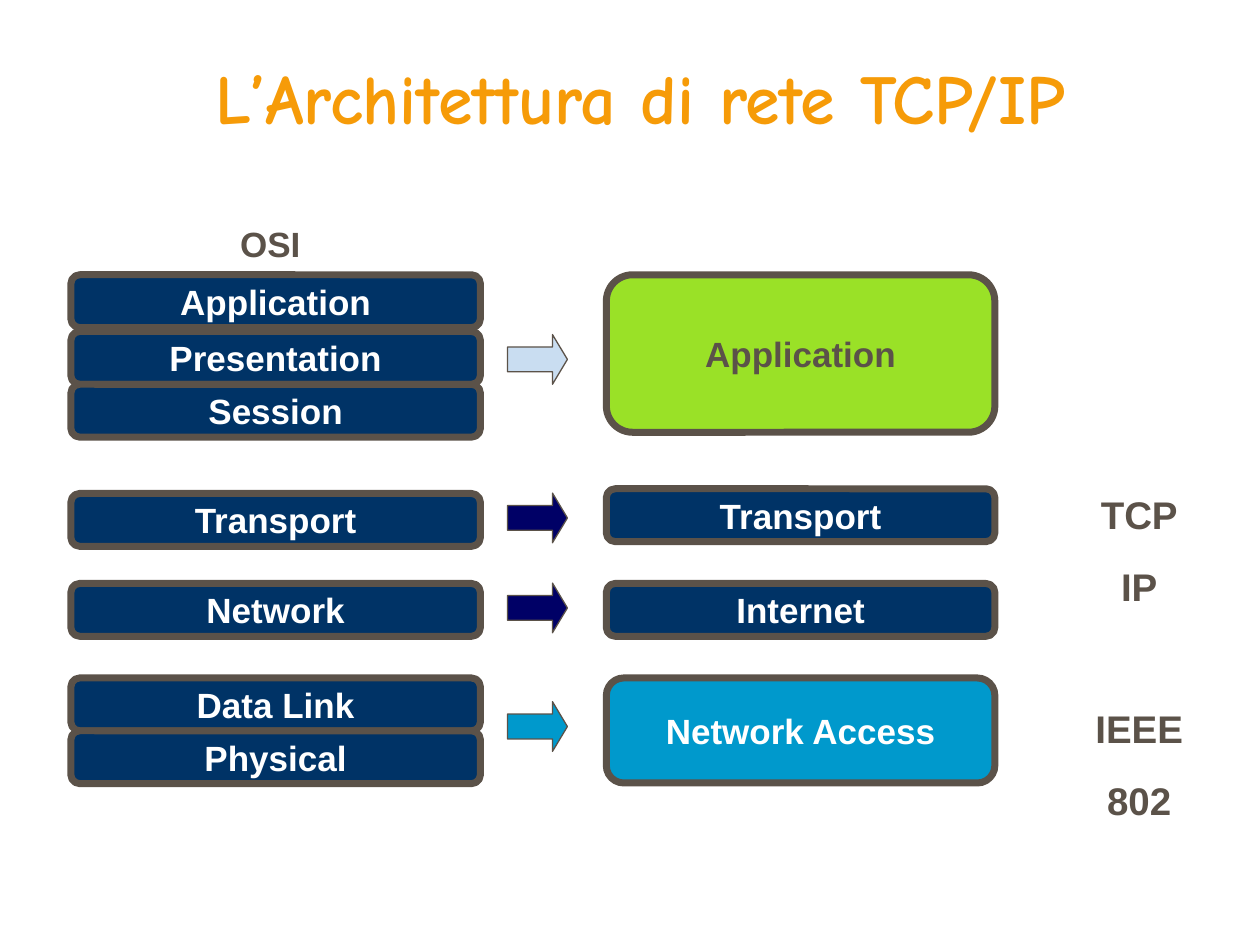
from pptx import Presentation
from pptx.dml.color import RGBColor
from pptx.enum.shapes import MSO_SHAPE
from pptx.enum.text import MSO_ANCHOR, MSO_AUTO_SIZE, PP_ALIGN
from pptx.util import Pt

ROUNDED = MSO_SHAPE.ROUNDED_RECTANGLE
ARROW = MSO_SHAPE.RIGHT_ARROW
MIDDLE = MSO_ANCHOR.MIDDLE
TOP = MSO_ANCHOR.TOP
BOTTOM = MSO_ANCHOR.BOTTOM
NO_FIT = MSO_AUTO_SIZE.NONE
CENTER = PP_ALIGN.CENTER

ORANGE, BROWN, WHITE = "F69B08", "5B5249", "FFFFFF"
NAVY, GREEN, CYAN = "003366", "9AE127", "0099CC"
PALE_BLUE, DARK_BLUE = "C9DDF1", "000066"

OSI_LEFT, OSI_WIDTH = 40.5, 234
TCP_LEFT, TCP_WIDTH = 346.5, 222
LAYER_HEIGHT = 30.2

OSI_LAYERS = [
    ("Application", 157), ("Presentation", 189.4), ("Session", 219.6),
    ("Transport", 282), ("Network", 333.4),
    ("Data Link", 387.4), ("Physical", 417.6),
]
TCP_LAYERS = [
    ("Application", 157, 90, GREEN, BROWN),
    ("Transport", 279.3, LAYER_HEIGHT, NAVY, WHITE),
    ("Internet", 333.4, LAYER_HEIGHT, NAVY, WHITE),
    ("Network Access", 387.4, 60, CYAN, WHITE),
]
ARROWS = [(191.2, PALE_BLUE), (281.8, DARK_BLUE), (333.2, DARK_BLUE), (401, CYAN)]
PROTOCOLS = [("TCP", 0), ("IP", 14.8), ("IEEE", 54.9), ("802", 14.8)]


def color(value):
    return RGBColor.from_string(value)


def write(para, text, size=20, font="Arial", fill=BROWN, before=0):
    para.alignment = CENTER
    para.space_before = Pt(before)
    span = para.add_run()
    span.text = text
    span.font.size = Pt(size)
    span.font.name = font
    span.font.bold = True
    span.font.color.rgb = color(fill)


def set_frame(frame, anchor, wrap=True):
    frame.word_wrap = wrap
    frame.auto_size = NO_FIT
    frame.vertical_anchor = anchor


def add_block(page, kind, left, top, width, height, fill, line_width):
    block = page.shapes.add_shape(kind, Pt(left), Pt(top), Pt(width), Pt(height))
    block.shadow.inherit = False
    block.fill.solid()
    block.fill.fore_color.rgb = color(fill)
    block.line.color.rgb = color(BROWN)
    block.line.width = Pt(line_width)
    return block


def add_layer(page, text, left, top, width, height, fill=NAVY, ink=WHITE):
    layer = add_block(page, ROUNDED, left, top, width, height, fill, 4)
    set_frame(layer.text_frame, MIDDLE, wrap=False)
    write(layer.text_frame.paragraphs[0], text, fill=ink)


def add_arrow(page, top, fill):
    arrow = add_block(page, ARROW, 290, top, 34.2, 28.4, fill, 0.75)
    arrow.adjustments[1] = 0.3


def add_label(page, lines, left, top, width, height, size):
    frame = page.shapes.add_textbox(Pt(left), Pt(top), Pt(width), Pt(height)).text_frame
    set_frame(frame, TOP)
    for index, (text, before) in enumerate(lines):
        para = frame.add_paragraph() if index else frame.paragraphs[0]
        write(para, text, size=size, before=before)


def add_title(page, text):
    title = page.shapes.title
    title.left, title.top, title.width, title.height = Pt(60), Pt(31.5), Pt(612), Pt(51)
    set_frame(title.text_frame, BOTTOM)
    write(title.text_frame.paragraphs[0], text, size=40, font="Comic Neue", fill=ORANGE)


def main():
    deck = Presentation()
    deck.slide_width, deck.slide_height = Pt(720), Pt(540)
    page = deck.slides.add_slide(deck.slide_layouts[5])
    add_title(page, "L’Architettura di rete TCP/IP")
    for text, top, height, fill, ink in TCP_LAYERS:
        add_layer(page, text, TCP_LEFT, top, TCP_WIDTH, height, fill, ink)
    add_label(page, PROTOCOLS, 579, 277, 144, 194, 22)
    for text, top in OSI_LAYERS:
        add_layer(page, text, OSI_LEFT, top, OSI_WIDTH, LAYER_HEIGHT)
    add_label(page, [("OSI", 0)], 82.5, 123.5, 144, 31.5, 20)
    for top, fill in ARROWS:
        add_arrow(page, top, fill)
    deck.save("out.pptx")


if __name__ == "__main__":
    main()
